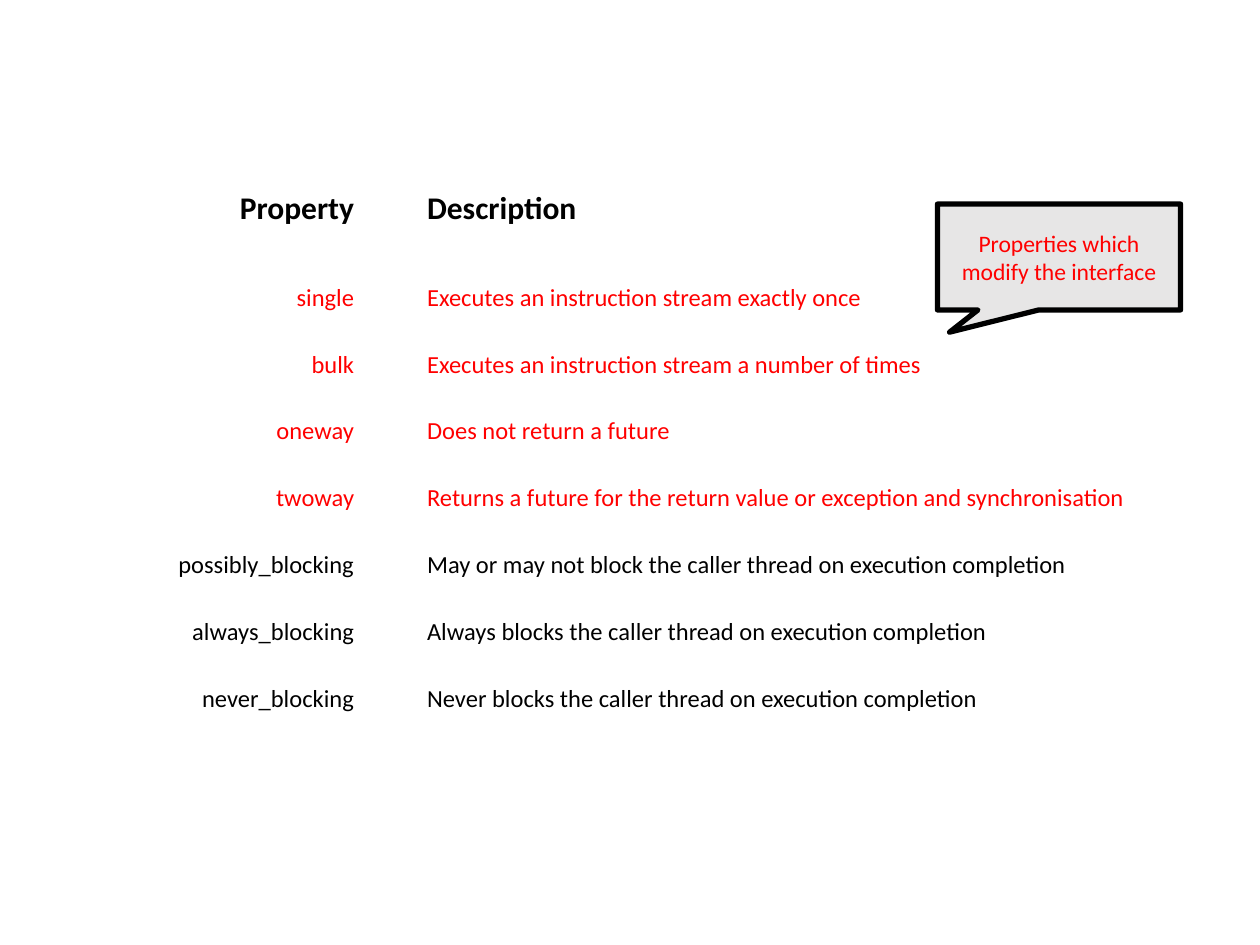
from dataclasses import dataclass

from pptx import Presentation
from pptx.dml.color import RGBColor
from pptx.enum.shapes import MSO_SHAPE
from pptx.enum.text import MSO_ANCHOR, PP_ALIGN
from pptx.util import Inches, Pt

MIDDLE = MSO_ANCHOR.MIDDLE
LEFT, CENTER, RIGHT = PP_ALIGN.LEFT, PP_ALIGN.CENTER, PP_ALIGN.RIGHT
CALLOUT = MSO_SHAPE.ROUNDED_RECTANGULAR_CALLOUT


@dataclass(frozen=True)
class Theme:
    font: str = "Calibri"
    black: RGBColor = RGBColor(0, 0, 0)
    red: RGBColor = RGBColor(0xFF, 0, 0)
    grey: RGBColor = RGBColor(0xE7, 0xE6, 0xE6)
    header_size: float = 18
    body_size: float = 14
    callout_size: float = 13.5
    inset: float = 0.07


@dataclass(frozen=True)
class Property:
    name: str
    description: str
    modifies_interface: bool = False


THEME = Theme()
COLUMN_WIDTHS = (2.25, 0.44, 6.05)
HEADER_HEIGHT, ROW_HEIGHT = 0.88, 0.53
HEADER = Property("Property", "Description")
PROPERTIES = (
    Property("single", "Executes an instruction stream exactly once", True),
    Property("bulk", "Executes an instruction stream a number of times", True),
    Property("oneway", "Does not return a future", True),
    Property("twoway", "Returns a future for the return value or exception and synchronisation", True),
    Property("possibly_blocking", "May or may not block the caller thread on execution completion"),
    Property("always_blocking", "Always blocks the caller thread on execution completion"),
    Property("never_blocking", "Never blocks the caller thread on execution completion"),
)


def set_insets(target) -> None:
    """Give a cell or text frame the same margin on all sides."""
    target.margin_left = target.margin_right = Inches(THEME.inset)
    target.margin_top = target.margin_bottom = Inches(THEME.inset)


def write_text(frame, text: str, size: float, color: RGBColor, align: PP_ALIGN, bold: bool = False) -> None:
    para = frame.paragraphs[0]
    para.alignment = align
    span = para.add_run()
    span.text = text
    span.font.name = THEME.font
    span.font.size = Pt(size)
    span.font.bold = bold
    span.font.color.rgb = color


def fill_row(row, entry: Property, is_header: bool) -> None:
    size = THEME.header_size if is_header else THEME.body_size
    color = THEME.red if entry.modifies_interface else THEME.black
    for cell in row.cells:
        cell.fill.background()
        cell.vertical_anchor = MIDDLE
        set_insets(cell)
    name_cell, _, description_cell = row.cells
    write_text(name_cell.text_frame, entry.name, size, color, RIGHT, is_header)
    write_text(description_cell.text_frame, entry.description, size, color, LEFT, is_header)


def add_property_table(page) -> None:
    entries = (HEADER, *PROPERTIES)
    height = HEADER_HEIGHT + ROW_HEIGHT * len(PROPERTIES)
    table = page.shapes.add_table(
        len(entries), len(COLUMN_WIDTHS),
        Inches(0.63), Inches(1.22), Inches(sum(COLUMN_WIDTHS)), Inches(height),
    ).table
    table.first_row = table.horz_banding = False
    for column, width in zip(table.columns, COLUMN_WIDTHS):
        column.width = Inches(width)
    for row, entry in zip(table.rows, entries):
        is_header = entry is HEADER
        row.height = Inches(HEADER_HEIGHT if is_header else ROW_HEIGHT)
        fill_row(row, entry, is_header)


def add_callout(page, text: str) -> None:
    box = page.shapes.add_shape(CALLOUT, Inches(7.44), Inches(1.62), Inches(1.93), Inches(0.84))
    for index, value in enumerate((-0.45, 0.71, 0)):
        box.adjustments[index] = value
    box.shadow.inherit = False
    box.fill.solid()
    box.fill.fore_color.rgb = THEME.grey
    box.line.color.rgb = THEME.black
    box.line.width = Pt(3)
    frame = box.text_frame
    frame.word_wrap = True
    frame.vertical_anchor = MIDDLE
    set_insets(frame)
    write_text(frame, text, THEME.callout_size, THEME.red, CENTER)


def main() -> None:
    deck = Presentation()
    deck.slide_width, deck.slide_height = Inches(10), Inches(7.5)
    page = deck.slides.add_slide(deck.slide_layouts[6])
    add_property_table(page)
    add_callout(page, "Properties which modify the interface")
    deck.save("out.pptx")


if __name__ == "__main__":
    main()
